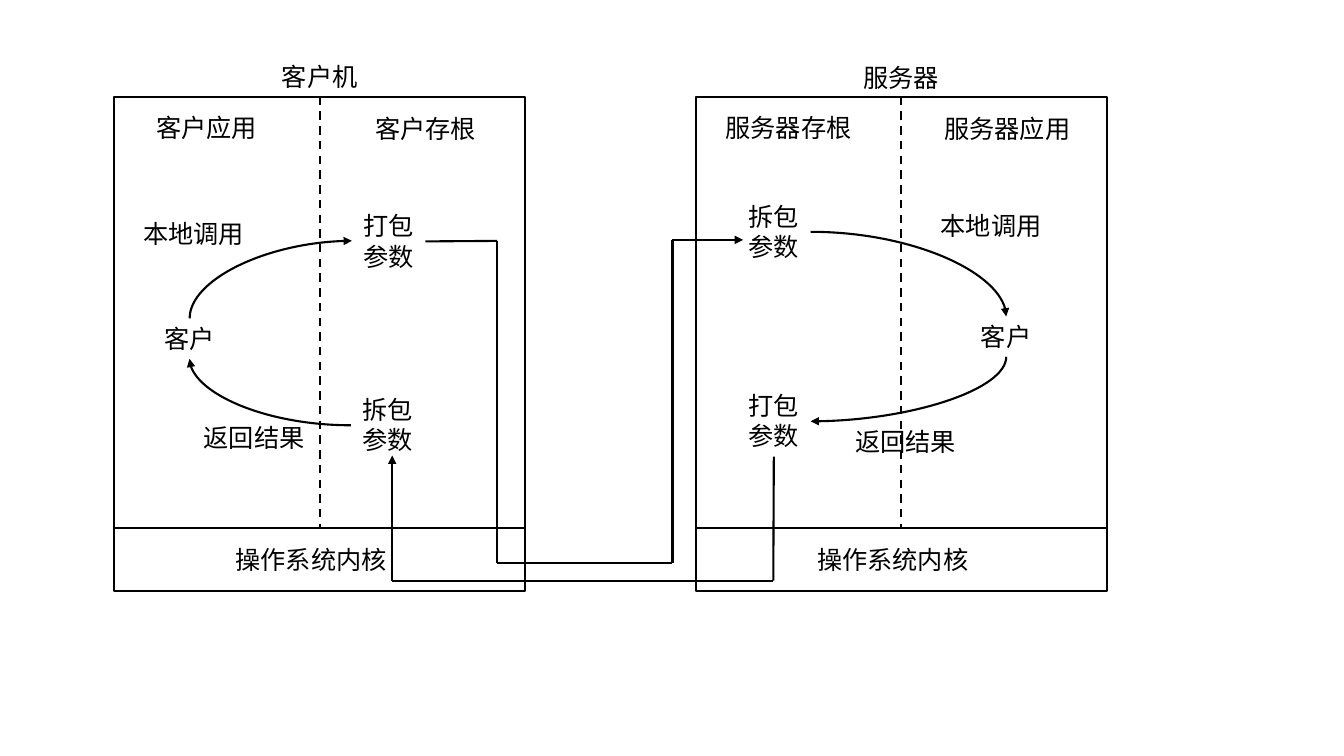
from dataclasses import dataclass
from itertools import pairwise
from typing import NamedTuple

from pptx import Presentation
from pptx.dml.color import RGBColor
from pptx.enum.dml import MSO_LINE
from pptx.enum.shapes import MSO_CONNECTOR, MSO_SHAPE
from pptx.enum.text import MSO_AUTO_SIZE, PP_ALIGN
from pptx.oxml.ns import qn
from pptx.oxml.xmlchemy import OxmlElement
from pptx.shapes.autoshape import Shape
from pptx.shapes.connector import Connector
from pptx.util import Inches, Pt


@dataclass(frozen=True)
class Theme:
    ink: RGBColor = RGBColor(0, 0, 0)
    font: str = "Times New Roman"
    size: float = 18
    line: float = 1.5


class Point(NamedTuple):
    x: float
    y: float


class Label(NamedTuple):
    text: str
    x: float
    y: float
    w: float = 1.62
    h: float = 0.4


class Curve(NamedTuple):
    start: Point
    end: Point
    upright: bool  # leaves the start vertically


@dataclass(frozen=True)
class Machine:
    left: float
    name: Label
    heads: tuple[str, str]
    labels: list[Label]
    curves: list[Curve]
    pack: Label
    unpack: Label


theme = Theme()
TOP, WIDE, HIGH, KERNEL = 0.96, 4.08, 4.9, 5.24

CLIENT = Machine(
    1.13, Label("客户机", 2.36, 0.56), ("客户应用", "客户存根"),
    [Label("本地调用", 1.11, 2.12), Label("客户", 1.5, 3.16, 0.76),
     Label("返回结果", 1.71, 4.14)],
    [Curve(Point(1.88, 3.16), Point(3.49, 2.39), True),
     Curve(Point(3.48, 4.22), Point(1.88, 3.56), False)],
    Label("打包\n参数", 3.49, 2.04, 0.73, 0.71),
    Label("拆包\n参数", 3.48, 3.86, 0.73, 0.71),
)
SERVER = Machine(
    6.9, Label("服务器", 8.13, 0.57), ("服务器存根", "服务器应用"),
    [Label("本地调用", 9.02, 2.04), Label("客户", 9.6, 3.14, 0.76),
     Label("返回结果", 8.17, 4.18)],
    [Curve(Point(8.04, 2.3), Point(9.98, 3.14), False),
     Curve(Point(9.98, 3.54), Point(8.04, 4.18), True)],
    Label("打包\n参数", 7.31, 3.82, 0.73, 0.71),
    Label("拆包\n参数", 7.31, 1.95, 0.73, 0.71),
)

deck = Presentation()
deck.slide_width, deck.slide_height = Inches(13.33), Inches(7.5)
slide = deck.slides.add_slide(deck.slide_layouts[6])


def write(label: Label, *, size: float = theme.size,
          color: RGBColor = theme.ink,
          align: PP_ALIGN = PP_ALIGN.CENTER) -> Shape:
    box = slide.shapes.add_textbox(*map(Inches, label[1:]))
    frame = box.text_frame
    frame.word_wrap = True
    frame.auto_size = MSO_AUTO_SIZE.SHAPE_TO_FIT_TEXT
    frame.text = label.text
    for para in frame.paragraphs:
        para.alignment = align
        para.font.size = Pt(size)
        para.font.name = theme.font
        para.font.color.rgb = color
    return box


def link(start: Point, end: Point, *, kind: MSO_CONNECTOR = MSO_CONNECTOR.STRAIGHT,
         dash: bool = False, arrow: bool = False) -> Connector:
    line = slide.shapes.add_connector(kind, *map(Inches, (*start, *end)))
    line.line.color.rgb = theme.ink
    line.line.width = Pt(theme.line)
    if dash:
        line.line.dash_style = MSO_LINE.DASH
    props = line._element.spPr
    if arrow:
        tip = OxmlElement("a:tailEnd")
        tip.set("type", "triangle")
        props.find(qn("a:ln")).append(tip)
    props.append(OxmlElement("a:effectLst"))
    return line


def bend(curve: Curve) -> None:
    start, end, upright = curve
    if upright:
        # Turn the ends back a quarter about the centre, then rotate the shape
        mid = Point((start.x + end.x) / 2, (start.y + end.y) / 2)
        dx, dy = start.x - mid.x, start.y - mid.y
        start = Point(mid.x + dy, mid.y - dx)
        end = Point(mid.x - dy, mid.y + dx)
    line = link(start, end, kind=MSO_CONNECTOR.CURVE, arrow=True)
    props = line._element.spPr
    props.find(qn("a:prstGeom")).set("prst", "curvedConnector2")
    if upright:
        props.find(qn("a:xfrm")).set("rot", str(90 * 60000))


def route(*points: Point) -> list[Connector]:
    pairs = list(pairwise(points))
    return [link(a, b, arrow=i == len(pairs)) for i, (a, b) in enumerate(pairs, 1)]


def draw(host: Machine) -> tuple[Shape, Shape]:
    # Frame, kernel line and dashed divider
    left, mid = host.left, host.left + WIDE / 2
    frame = slide.shapes.add_shape(
        MSO_SHAPE.RECTANGLE, *map(Inches, (left, TOP, WIDE, HIGH)))
    frame.shadow.inherit = False
    frame.fill.background()
    frame.line.color.rgb = theme.ink
    frame.line.width = Pt(theme.line)
    link(Point(left, KERNEL), Point(left + WIDE, KERNEL))
    split = link(Point(mid, TOP), Point(mid, KERNEL), dash=True)
    split.begin_connect(frame, 0)

    # Headings and labels
    first, second = host.heads
    for label in (host.name, Label(first, left + 0.11, 1.07),
                  Label(second, left + 2.28, 1.08),
                  Label("操作系统内核", left + 1.02, 5.35, 1.87), *host.labels):
        write(label)
    pack, unpack = write(host.pack), write(host.unpack)

    # Local calls and results
    for curve in host.curves:
        bend(curve)
    return pack, unpack


def main() -> None:
    ask, _ = draw(CLIENT)
    reply, _ = draw(SERVER)

    # Request from client to server
    call = route(Point(4.22, 2.39), Point(4.93, 2.39), Point(4.93, 5.59),
                 Point(6.67, 5.59), Point(6.67, 2.38), Point(7.37, 2.38))
    call[0].begin_connect(ask, 3)

    # Reply from server to client
    back = route(Point(7.67, 4.53), Point(7.67, 5.76),
                 Point(3.89, 5.76), Point(3.89, 4.52))
    back[0].begin_connect(reply, 2)
    deck.save("out.pptx")


if __name__ == "__main__":
    main()
